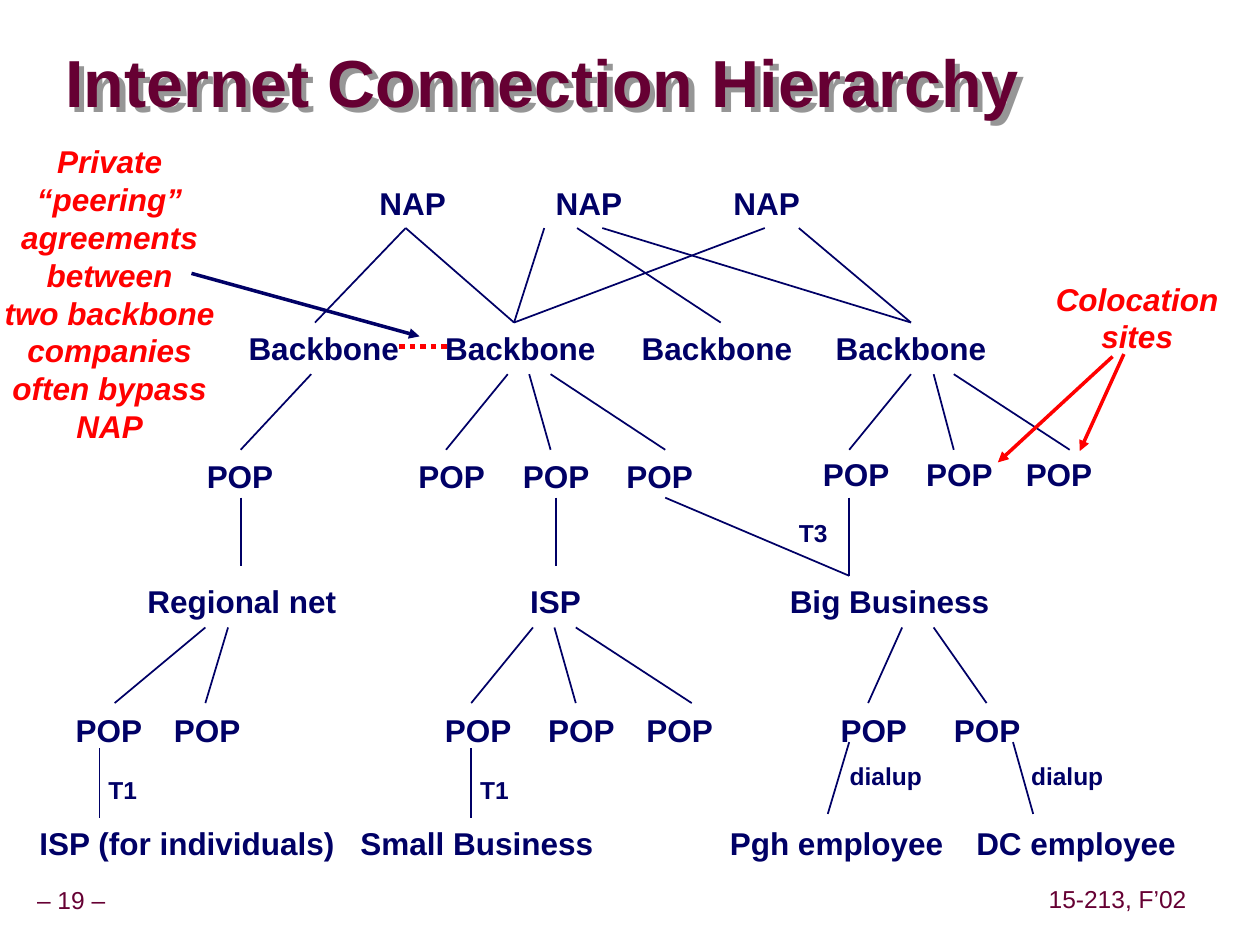
from lxml import etree
from pptx import Presentation
from pptx.dml.color import RGBColor
from pptx.enum.dml import MSO_LINE
from pptx.enum.shapes import MSO_CONNECTOR
from pptx.enum.text import MSO_ANCHOR as Anchor, PP_ALIGN as Align
from pptx.oxml import parse_xml
from pptx.oxml.ns import nsdecls, qn
from pptx.util import Inches, Pt

COLORS = {"title": "660033", "shadow": "969696", "network": "000066", "note": "FF0000"}

prs = Presentation()
prs.slide_width, prs.slide_height = Inches(10), Inches(7.5)
CELL = prs.slide_width // 100  # grid of 100 columns by 75 rows
slide = prs.slides.add_slide(prs.slide_layouts[5])


def add_label(lines, left, top, width, height, size=18, color="network",
              bold=True, italic=False, spacing=1.0):
    box = slide.shapes.add_textbox(*(int(n * CELL) for n in (left, top, width, height)))
    frame = box.text_frame
    frame.word_wrap = False
    frame.margin_left = frame.margin_right = Inches(0.04)  # spare room keeps lines whole
    frame.vertical_anchor = Anchor.MIDDLE
    for index, line in enumerate(lines):
        para = frame.add_paragraph() if index else frame.paragraphs[0]
        para.alignment = Align.CENTER
        para.line_spacing = spacing
        run = para.add_run()
        run.text = line
        run.font.name, run.font.size = "Arial", Pt(size)
        run.font.bold, run.font.italic = bold, italic
        run.font.color.rgb = RGBColor.from_string(COLORS[color])


def add_link(x1, y1, x2, y2, color="network", weight=1, arrow=False):
    link = slide.shapes.add_connector(
        MSO_CONNECTOR.STRAIGHT, *(int(n * CELL) for n in (x1, y1, x2, y2)))
    link.line.color.rgb = RGBColor.from_string(COLORS[color])
    link.line.width = Pt(weight)
    if arrow:
        etree.SubElement(link.line._get_or_add_ln(), qn("a:tailEnd"), type="triangle")
    etree.SubElement(link._element.spPr, qn("a:effectLst"))
    return link


# Title: an unfilled shape, so its grey shadow falls from the letters
title = slide.shapes.title
title.left, title.top, title.width, title.height = (
    int(n * CELL) for n in (4.2, 3.7, 82.5, 6.3))
title.fill.background()
title._element.spPr.append(parse_xml(
    f'<a:effectLst {nsdecls("a")}><a:outerShdw dist="53882" dir="2700000" algn="ctr" '
    f'rotWithShape="0"><a:srgbClr val="{COLORS["shadow"]}"/></a:outerShdw></a:effectLst>'))
title.text_frame.vertical_anchor = Anchor.MIDDLE
heading = title.text_frame.paragraphs[0]
heading.alignment = Align.LEFT
heading.line_spacing = 0.87
run = heading.add_run()
run.text = "Internet Connection Hierarchy"
run.font.name, run.font.size, run.font.bold = "Arial", Pt(38), True
run.font.color.rgb = RGBColor.from_string(COLORS["title"])

# Links between tiers: upper row, lower row, (upper column, lower column)
tier_links = [
    (18.1, 25.6, [(32.2, 25), (32.2, 40.8), (43.2, 40.8), (45.8, 57.2),
                  (47.8, 72.3), (60.7, 40.8), (63.4, 72.3)]),
    (29.7, 35.7, [(24.7, 19.1), (40.3, 35.4), (42, 43.7), (43.7, 52.8),
                  (72.3, 67.4), (74.1, 75.7), (75.7, 84.9)]),
    (39.5, 44.9, [(19.1, 19.1), (44.1, 44.1)]),
    (39.5, 45.7, [(52.8, 67.4), (67.4, 67.4)]),
    (49.8, 55.8, [(16.3, 9.1), (18.1, 16.3), (42.3, 37.4), (44, 45.7),
                  (45.7, 54.9), (71.6, 68.9), (74.1, 78.3)]),
    (59.4, 64.9, [(7.9, 7.9), (37.4, 37.4)]),
    (58.9, 64.6, [(67.4, 65.7), (80.4, 82)]),
]
for upper, lower, pairs in tier_links:
    for start, end in pairs:
        add_link(start, upper, end, lower)

# Tiers of nodes: top row, (name, left column)
node_widths = {"NAP": 7.3, "POP": 7.3, "Backbone": 14, "ISP": 6,
               "Regional net": 17, "Big Business": 17.8,
               "ISP (for individuals)": 25.5, "Small Business": 20.5,
               "Pgh employee": 19, "DC employee": 17.8}
tiers = [
    (14.1, [("NAP", x) for x in (29.1, 43.1, 57.2)]),
    (25.6, [("Backbone", x) for x in (18.7, 34.3, 49.9, 65.3)]),
    (35.8, [("POP", x) for x in (15.4, 32.2, 40.5, 48.7)]),
    (35.6, [("POP", x) for x in (64.3, 72.5, 80.4)]),
    (45.7, [("Regional net", 10.7), ("ISP", 41.1), ("Big Business", 61.7)]),
    (55.9, [("POP", x) for x in (5, 12.8, 34.3, 42.5, 50.3, 65.7, 74.7)]),
    (64.9, [("ISP (for individuals)", 2.1), ("Small Business", 27.6),
            ("Pgh employee", 56.9), ("DC employee", 76.5)]),
]
for top, nodes in tiers:
    for name, left in nodes:
        add_label([name], left, top, node_widths[name], 4)

# Line types
for kind, left, top, width in [("T3", 62.4, 40.6, 4.3), ("T1", 7.6, 61, 4.3),
                               ("T1", 37.1, 61, 4.3), ("dialup", 66.4, 59.9, 7.8),
                               ("dialup", 80.8, 59.9, 7.8)]:
    add_label([kind], left, top, width, 3.3, size=14)

# Private peering note
add_label(["Private", "“peering”", "agreements", "between", "two backbone",
           "companies", "often bypass", "NAP"],
          -0.6, 10.8, 18.6, 25, color="note", italic=True)
add_link(15.2, 21.7, 33.3, 26.7, weight=2, arrow=True)
peering = add_link(31.7, 27.5, 35.8, 27.5, color="note", weight=3)
peering.line.dash_style = MSO_LINE.ROUND_DOT

# Colocation note
add_label(["Colocation", "sites"], 82.8, 21.7, 14.9, 7, color="note", italic=True)
add_link(89.2, 28.1, 85.7, 35.8, color="note", weight=2, arrow=True)
add_link(88.3, 28.3, 79.2, 36.7, color="note", weight=2, arrow=True)

# Footer
add_label(["– 19 –"], -0.9, 70, 13.1, 3.1, 14, "title", bold=False, spacing=0.9)
add_label(["15-213, F’02"], 82.7, 69.9, 12, 3.1, 14, "title", bold=False, spacing=0.9)

prs.save("out.pptx")
